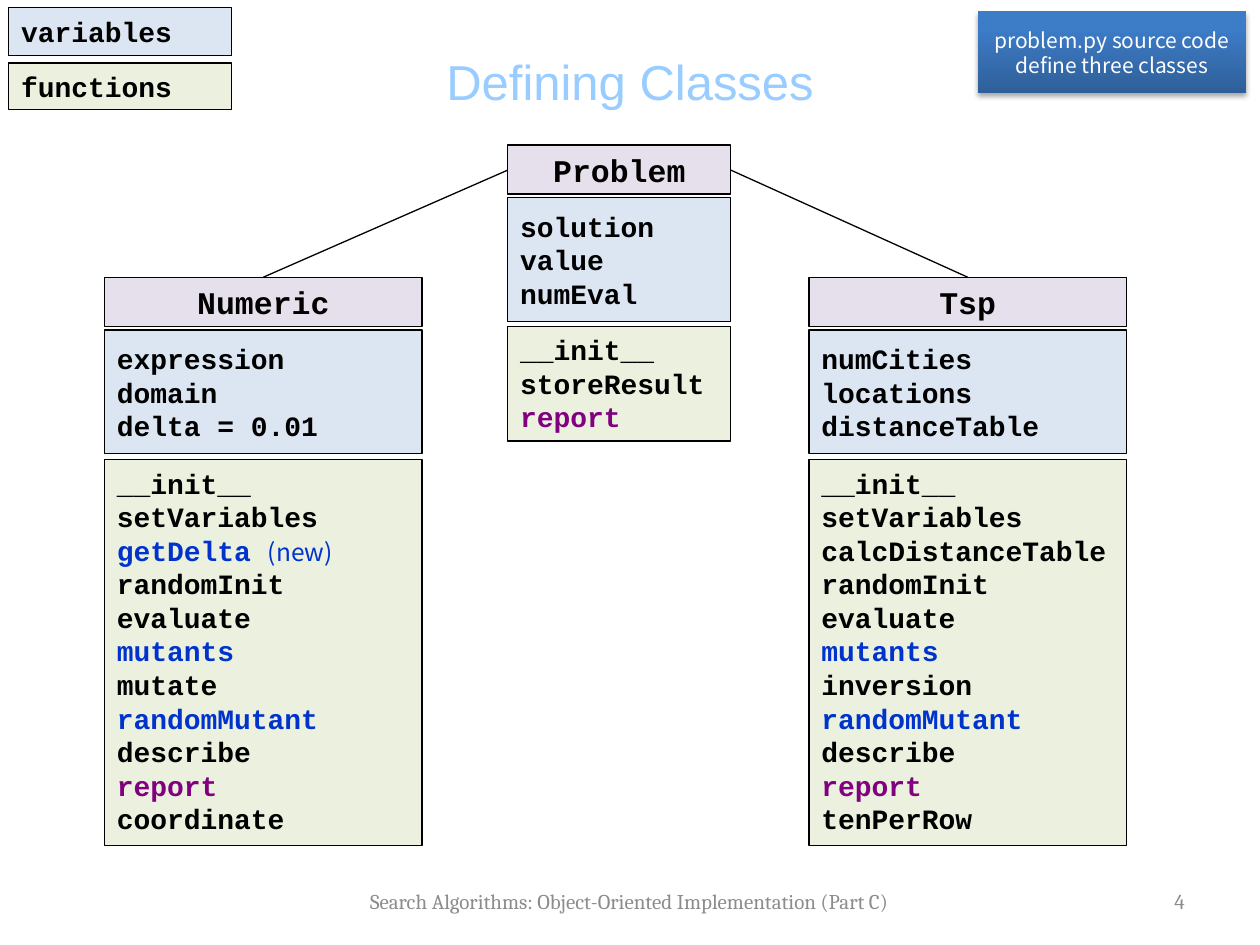
from lxml import etree
from pptx import Presentation
from pptx import util as u
from pptx.dml.color import RGBColor
from pptx.enum import shapes, text
from pptx.oxml import ns, parse_xml

BLACK = RGBColor(0, 0, 0)
WHITE = RGBColor(0xFF, 0xFF, 0xFF)
TITLE_BLUE = RGBColor(0x99, 0xCC, 0xFF)
GRAY = RGBColor(0x8C, 0x8C, 0x8C)
LILAC = RGBColor(0xE6, 0xE0, 0xEC)
PALE_BLUE = RGBColor(0xDC, 0xE6, 0xF2)
PALE_GREEN = RGBColor(0xEB, 0xF1, 0xDE)
BLUE = RGBColor(0, 0x33, 0xCC)
PURPLE = RGBColor(0x80, 0, 0x80)
DEEP_BLUE = RGBColor(0x2F, 0x5F, 0x99)
BRIGHT_BLUE = RGBColor(0x3D, 0x7C, 0xC7)

MEMBER_COLORS = {"getDelta ": BLUE, "mutants": BLUE, "randomMutant": BLUE, "report": PURPLE}
CODE, SANS, SERIF, HEADING = "Courier New", "Noto Sans CJK KR", "Cambria", "Arial"
LEFT, CENTER, RIGHT = text.PP_ALIGN.LEFT, text.PP_ALIGN.CENTER, text.PP_ALIGN.RIGHT
MIDDLE, TOP = text.MSO_ANCHOR.MIDDLE, text.MSO_ANCHOR.TOP

SHADOW = (
    f'<a:effectLst {ns.nsdecls("a")}><a:outerShdw blurRad="39370" dist="22860" dir="5400000" '
    'rotWithShape="0"><a:srgbClr val="000000"><a:alpha val="35000"/></a:srgbClr>'
    "</a:outerShdw></a:effectLst>"
)


class ClassDiagram:
    """Draws class boxes, connectors and captions on one slide in a shared style."""

    def __init__(self, slide):
        self.slide = slide

    def style(self, run, size, font, color, bold=False):
        run.font.size = u.Pt(size)
        run.font.name = font
        run.font.color.rgb = color
        run.font.bold = bold
        if font == SANS:
            east_asian = etree.SubElement(run.font._element, ns.qn("a:ea"))
            east_asian.set("typeface", font)

    def caption(self, area, words, size, font, color, align=CENTER):
        box = self.slide.shapes.add_textbox(*map(u.Inches, area))
        self.label(box, words, size, font, color, align)

    def label(self, holder, words, size, font, color, align):
        frame = holder.text_frame
        frame.word_wrap = True
        frame.vertical_anchor = MIDDLE
        frame.text = words
        paragraph = frame.paragraphs[0]
        paragraph.alignment = align
        self.style(paragraph.runs[0], size, font, color)

    def rectangle(self, area):
        box = self.slide.shapes.add_shape(shapes.MSO_SHAPE.RECTANGLE, *map(u.Inches, area))
        box.shadow.inherit = False
        return box

    def code_box(self, area, lines, fill, size=16, align=LEFT, anchor=MIDDLE):
        box = self.rectangle(area)
        box.fill.solid()
        box.fill.fore_color.rgb = fill
        box.line.color.rgb = BLACK
        box.line.width = u.Pt(0.75)
        frame = box.text_frame
        frame.word_wrap = True
        frame.vertical_anchor = anchor
        frame.text = "\n".join(lines)
        for paragraph, name in zip(frame.paragraphs, lines):
            paragraph.alignment = align
            self.style(paragraph.runs[0], size, CODE, MEMBER_COLORS.get(name, BLACK), True)
        return box

    def class_card(self, left, top, width, name, variables, functions, functions_top, functions_height):
        self.code_box((left, top, width, 0.39), [name], LILAC, 18, CENTER)
        self.code_box((left, top + 0.42, width, 0.98), variables, PALE_BLUE)
        return self.code_box(
            (left, functions_top, width, functions_height), functions, PALE_GREEN, anchor=TOP
        )

    def note(self, area, words):
        box = self.rectangle(area)
        box.fill.gradient()
        box.fill.gradient_angle = 90
        for stop, color, position in zip(box.fill.gradient_stops, (DEEP_BLUE, BRIGHT_BLUE), (0, 0.8)):
            stop.color.rgb = color
            stop.position = position
        box.line.fill.background()
        properties = box._element.spPr
        properties.replace(properties.find(ns.qn("a:effectLst")), parse_xml(SHADOW))
        self.label(box, words, 12, SANS, WHITE, CENTER)

    def link(self, *ends):
        line = self.slide.shapes.add_connector(shapes.MSO_CONNECTOR.STRAIGHT, *map(u.Inches, ends))
        line.line.color.rgb = BLACK
        line.line.width = u.Pt(0.75)
        etree.SubElement(line._element.spPr, ns.qn("a:effectLst"))


def main():
    deck = Presentation()
    deck.slide_width, deck.slide_height = u.Inches(10), u.Inches(7.5)
    diagram = ClassDiagram(deck.slides.add_slide(deck.slide_layouts[6]))

    diagram.caption((0.5, 0.3, 9, 0.69), "Defining Classes", 28, HEADING, TITLE_BLUE)
    diagram.code_box((0.07, 0.06, 1.77, 0.38), ["variables"], PALE_BLUE)
    diagram.code_box((0.07, 0.5, 1.77, 0.37), ["functions"], PALE_GREEN, anchor=TOP)
    diagram.note((7.76, 0.09, 2.13, 0.65), "problem.py source code define three classes")

    diagram.link(4.03, 1.35, 2.09, 2.2)
    diagram.link(5.8, 1.35, 7.68, 2.2)
    diagram.class_card(
        4.03, 1.15, 1.77, "Problem",
        ["solution", "value", "numEval"],
        ["__init__", "storeResult", "report"], 2.59, 0.91,
    )
    numeric_functions = diagram.class_card(
        0.83, 2.2, 2.52, "Numeric",
        ["expression", "domain", "delta = 0.01"],
        ["__init__", "setVariables", "getDelta ", "randomInit", "evaluate", "mutants",
         "mutate", "randomMutant", "describe", "report", "coordinate"], 3.65, 3.06,
    )
    new_mark = numeric_functions.text_frame.paragraphs[2].add_run()
    new_mark.text = "(new)"
    diagram.style(new_mark, 14, SANS, BLUE)
    diagram.class_card(
        6.42, 2.2, 2.52, "Tsp",
        ["numCities", "locations", "distanceTable"],
        ["__init__", "setVariables", "calcDistanceTable", "randomInit", "evaluate", "mutants",
         "inversion", "randomMutant", "describe", "report", "tenPerRow"], 3.65, 3.06,
    )

    diagram.caption((2.24, 6.95, 5.51, 0.4),
                    "Search Algorithms: Object-Oriented Implementation (Part C)", 12, SERIF, GRAY)
    diagram.caption((8.31, 6.95, 1.19, 0.4), "4", 12, SERIF, GRAY, RIGHT)
    deck.save("out.pptx")


if __name__ == "__main__":
    main()
